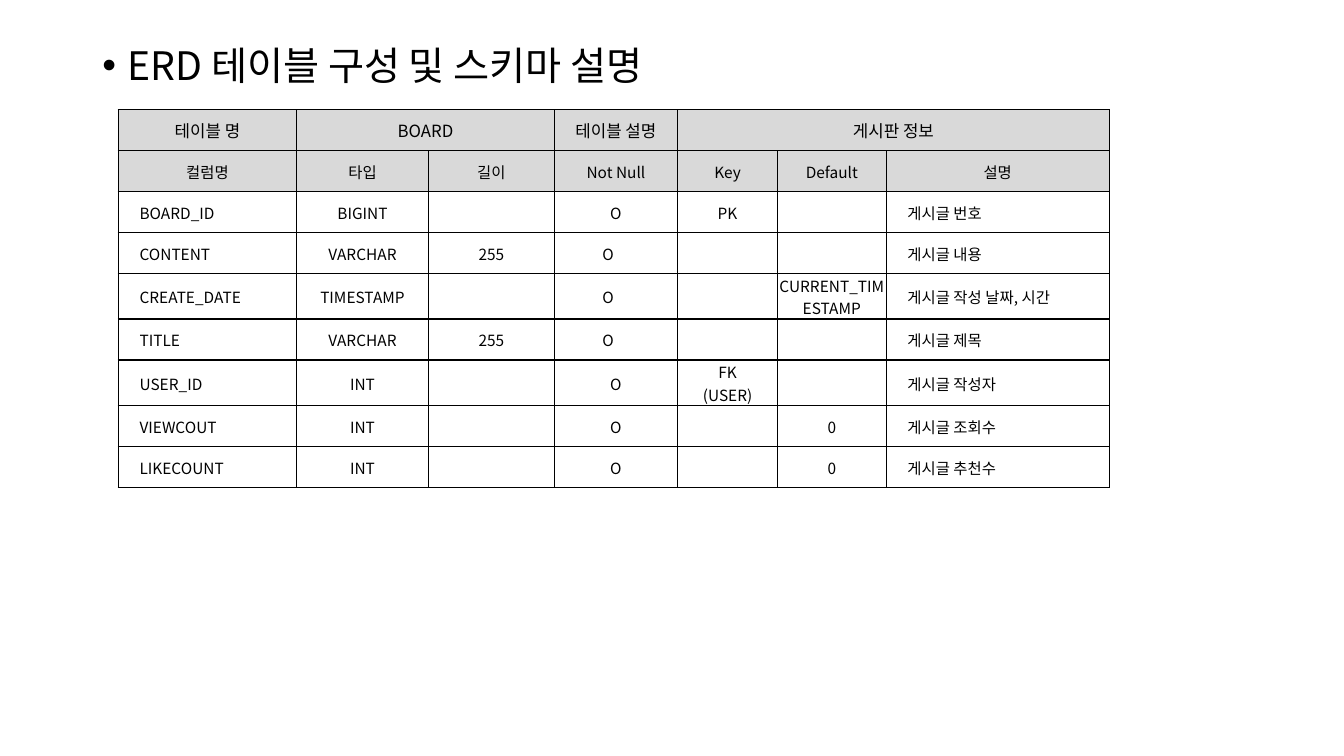
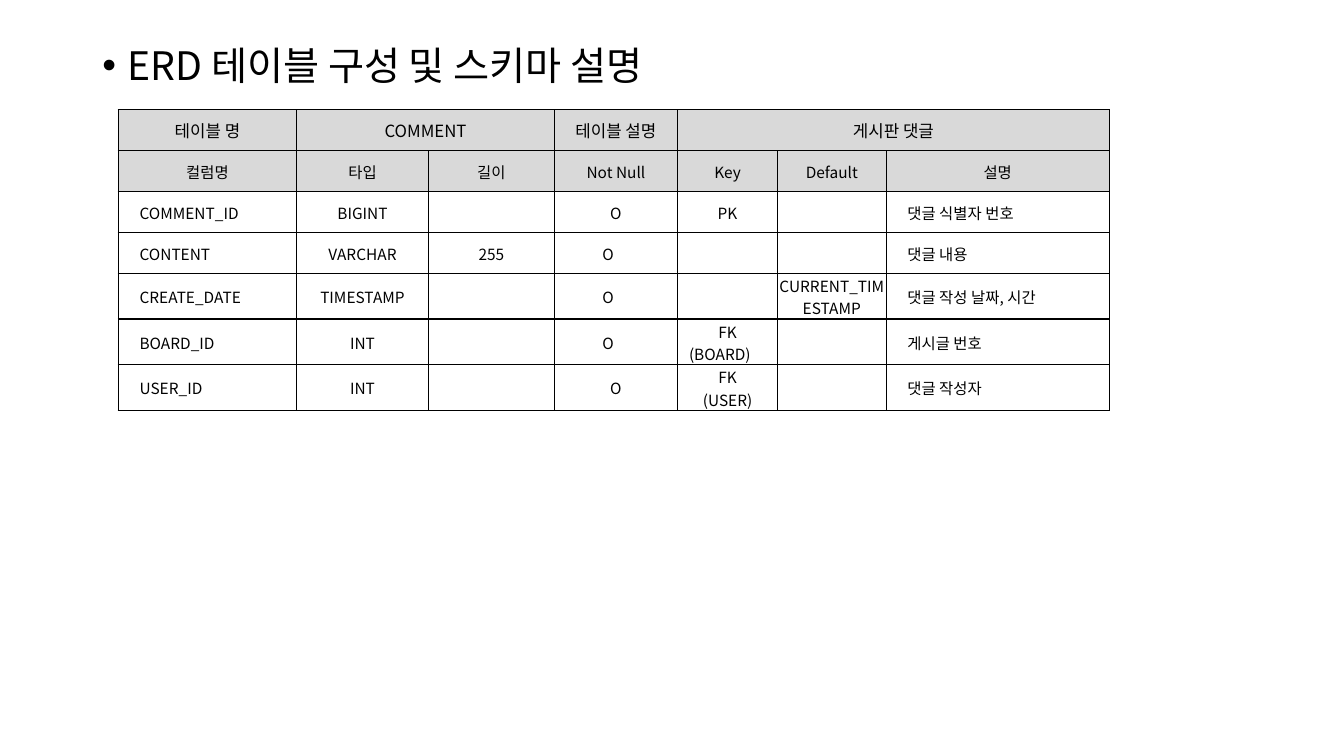
from lxml.etree import SubElement
from pptx import Presentation
from pptx.dml.color import RGBColor
from pptx.enum.text import MSO_ANCHOR, PP_ALIGN
from pptx.oxml.ns import qn
from pptx.util import Pt

FONT = "Noto Sans CJK KR"
BLACK = "000000"
HEADER_GREY = "D9D9D9"
HEADING = "ERD 테이블 구성 및 스키마 설명"
HEADING_BOX = (66, 29.5, 828, 342.5)
SCHEMA_BOX = (84.5, 78.5, 708)
COLUMN_WIDTHS = (127.5, 94, 90, 88, 71.5, 77.5, 159.5)
ROW_HEIGHT = 29.2
COLUMN_TITLES = ("컬럼명", "타입", "길이", "Not Null", "Key", "Default", "설명")
INDENTED_COLUMNS = (0, 6)
HEADING_PARAGRAPH = {"line_spacing": 0.9, "space_before": Pt(10)}
TABLE_FLAGS = {"first_row": False, "horz_banding": False}
TIGHT_MARGINS = {
    "margin_left": Pt(0.7),
    "margin_right": Pt(0.7),
    "margin_top": Pt(0.7),
    "margin_bottom": Pt(0),
}

SCHEMAS = (
    ("BOARD", "게시판 정보", (
        ("BOARD_ID", "BIGINT", "", "O", "PK", "", "게시글 번호"),
        ("CONTENT", "VARCHAR", "255", "O　", "", "", "게시글 내용"),
        ("CREATE_DATE", "TIMESTAMP", "", "O　", "", "CURRENT_TIMESTAMP", "게시글 작성 날짜, 시간"),
        ("TITLE", "VARCHAR", "255", "O　", "", "", "게시글 제목"),
        ("USER_ID", "INT", "", "O", "FK\n(USER)", "", "게시글 작성자"),
        ("VIEWCOUT", "INT", "", "O", "", "0", "게시글 조회수"),
        ("LIKECOUNT", "INT", "", "O", "", "0", "게시글 추천수"),
    )),
    ("COMMENT", "게시판 댓글", (
        ("COMMENT_ID", "BIGINT", "", "O", "PK", "", "댓글 식별자 번호"),
        ("CONTENT", "VARCHAR", "255", "O　", "", "", "댓글 내용"),
        ("CREATE_DATE", "TIMESTAMP", "", "O　", "", "CURRENT_TIMESTAMP", "댓글 작성 날짜, 시간"),
        ("BOARD_ID", "INT", "", "O　", "FK\n(BOARD)　", "", "게시글 번호"),
        ("USER_ID", "INT", "", "O", "FK\n(USER)", "", "댓글 작성자"),
    )),
)


def rgb(value):
    """Turn a hex string into a colour."""
    return RGBColor.from_string(value)


def apply_format(target, values):
    """Set every attribute named in a dict of format values."""
    for name, value in values.items():
        setattr(target, name, value)


def set_indent(paragraph, left, first):
    """Set the left and first-line indents of a paragraph in points."""
    properties = paragraph._p.get_or_add_pPr()
    properties.set("marL", str(Pt(left)))
    properties.set("indent", str(Pt(first)))


def style_runs(paragraph, size):
    """Give the runs of a paragraph, or its empty line, the shared font."""
    for run in paragraph.runs:
        apply_format(run.font, {"name": FONT, "size": Pt(size), "bold": False})
        run.font.color.rgb = rgb(BLACK)
        latin = run.font._element.find(qn("a:latin"))
        east_asian = latin.makeelement(qn("a:ea"), {"typeface": FONT})
        latin.addnext(east_asian)
    if not paragraph.runs:
        SubElement(paragraph._p, qn("a:endParaRPr"), sz=str(size * 100))


def draw_borders(cell):
    """Draw a one-point black line on each side of a cell."""
    properties = cell._tc.get_or_add_tcPr()
    for position, side in enumerate(("a:lnL", "a:lnR", "a:lnT", "a:lnB")):
        line = properties.makeelement(qn(side), {"w": str(Pt(1))})
        fill = SubElement(line, qn("a:solidFill"))
        SubElement(fill, qn("a:srgbClr"), val=BLACK)
        properties.insert(position, line)


def fill_cell(cell, text, row, column):
    """Write and format one cell according to its row and column."""
    is_header = row < 2
    cell.text_frame.text = text
    cell.vertical_anchor = MSO_ANCHOR.MIDDLE
    if row > 0:
        apply_format(cell, TIGHT_MARGINS)
    for paragraph in cell.text_frame.paragraphs:
        if not is_header and column in INDENTED_COLUMNS:
            set_indent(paragraph, 14.5, 0)
        else:
            paragraph.alignment = PP_ALIGN.CENTER
        style_runs(paragraph, 12 if row == 0 else 11)
    if is_header:
        cell.fill.solid()
        cell.fill.fore_color.rgb = rgb(HEADER_GREY)
    else:
        cell.fill.background()
    draw_borders(cell)


def add_heading(slide, box):
    """Place the bulleted heading in the body placeholder."""
    heading = slide.placeholders[1]
    apply_format(heading, dict(zip(("left", "top", "width", "height"), map(Pt, box))))
    heading.text_frame.text = HEADING
    paragraph = heading.text_frame.paragraphs[0]
    apply_format(paragraph, HEADING_PARAGRAPH)
    set_indent(paragraph, 18, -18)
    style_runs(paragraph, 28)


def add_schema(slide, box, name, description, fields):
    """Place the schema table of one database table."""
    left, top, width = box
    summary = ("테이블 명", name, "", "테이블 설명", description, "", "")
    rows = (summary, COLUMN_TITLES, *fields)
    schema = slide.shapes.add_table(
        len(rows), len(COLUMN_WIDTHS),
        Pt(left), Pt(top), Pt(width), Pt(ROW_HEIGHT * len(rows)),
    ).table
    apply_format(schema, TABLE_FLAGS)
    scale = width / sum(COLUMN_WIDTHS)
    for column, column_width in zip(schema.columns, COLUMN_WIDTHS):
        column.width = Pt(column_width * scale)
    for row, texts in enumerate(rows):
        schema.rows[row].height = Pt(ROW_HEIGHT)
        for column, text in enumerate(texts):
            fill_cell(schema.cell(row, column), text, row, column)
    for first, last in ((1, 2), (4, 6)):
        schema.cell(0, first).merge(schema.cell(0, last))


def add_schema_slide(deck, name, description, fields):
    """Add a slide with the shared heading and one schema table."""
    slide = deck.slides.add_slide(deck.slide_layouts[1])
    title = slide.shapes.title._element
    title.getparent().remove(title)
    add_heading(slide, HEADING_BOX)
    add_schema(slide, SCHEMA_BOX, name, description, fields)


def main():
    """Build and save the presentation."""
    deck = Presentation()
    apply_format(deck, {"slide_width": Pt(960), "slide_height": Pt(540)})
    for schema in SCHEMAS:
        add_schema_slide(deck, *schema)
    deck.save("out.pptx")


if __name__ == "__main__":
    main()
